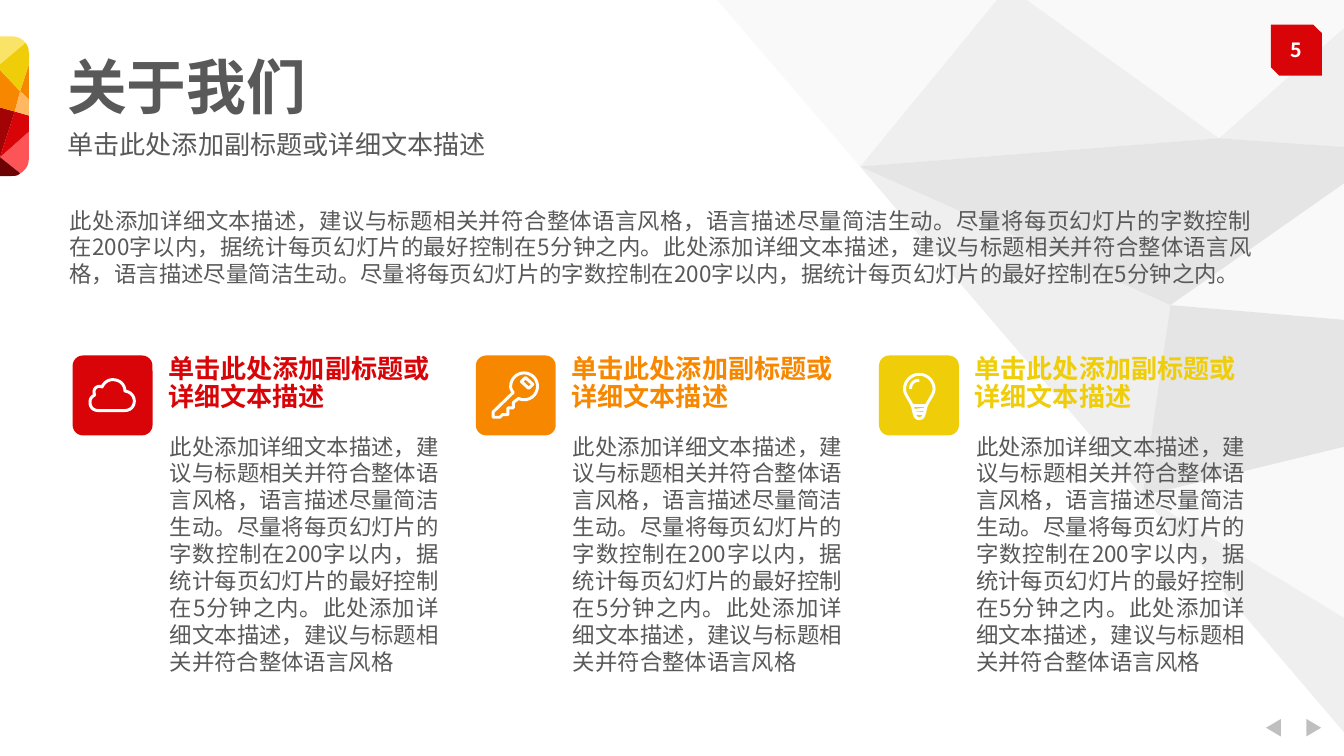
"""Build the "about us" slide on a grid of tenth-inch columns and rows."""
import pptx
import pptx.dml.color
import pptx.enum.shapes
import pptx.enum.text
import pptx.oxml.ns
import pptx.util
from lxml import etree

RGB = pptx.dml.color.RGBColor
SHAPE = pptx.enum.shapes.MSO_SHAPE
ALIGN = pptx.enum.text.PP_ALIGN
qn = pptx.oxml.ns.qn

RED, ORANGE, YELLOW = RGB(0xD8, 0x04, 0x07), RGB(0xF8, 0x87, 0x00), RGB(0xEF, 0xCD, 0x09)
PINK, DARK_RED, MAROON = RGB(0xFC, 0x54, 0x57), RGB(0xA2, 0x03, 0x05), RGB(0x6C, 0x02, 0x04)
CREAM, PEACH = RGB(0xF9, 0xE4, 0x68), RGB(0xFF, 0xB7, 0x62)
PALE, LIGHT, SILVER = RGB(0xF2, 0xF2, 0xF2), RGB(0xD9, 0xD9, 0xD9), RGB(0xBF, 0xBF, 0xBF)
WHITE, INK = RGB(0xFF, 0xFF, 0xFF), RGB(0x59, 0x59, 0x59)

FONT = "Noto Sans CJK SC"
COLUMNS, ROWS = 100, 56.25
COLUMN_STEP = 30
TITLE = {"size": pptx.util.Pt(32), "bold": True}
SUBTITLE = {"size": pptx.util.Pt(14), "bold": False}
HEADING = {"size": pptx.util.Pt(14), "bold": True}
BODY = {"size": pptx.util.Pt(12), "bold": False}
NUMBER = {"size": pptx.util.Pt(10.5), "bold": True}

PROMPT = "单击此处添加副标题或详细文本描述"
ADVICE = "此处添加详细文本描述，建议与标题相关并符合整体语言风格"
SENTENCES = (ADVICE + "，语言描述尽量简洁生动。尽量将每页幻灯片的字数控制在200字以内，"
             "据统计每页幻灯片的最好控制在5分钟之内。")

MESH_POINTS = {
    "A": (52.5, -1), "B": (75, -1), "C": (103.5, -1), "D": (90.7, 10.3),
    "E": (64, 12.4), "F": (103.5, 11.2), "G": (87.1, 22.7), "H": (103.5, 24.1),
    "I": (103.5, 32.4), "J": (85, 36.9), "K": (103.5, 48.1), "L": (103.5, 58.6),
}
MESH_FACETS = [("BDC", PALE), ("DCF", LIGHT), ("BDE", LIGHT), ("EDFG", SILVER), ("EGJ", LIGHT),
               ("GFH", PALE), ("GHIJ", SILVER), ("JIK", PALE), ("JKL", LIGHT), ("BEA", PALE)]

TAB_FACETS = [
    ([(2.15, 9.8), (0, 11.7), (1.5, 12.9), (1.9, 12.7, 2.15, 12.3, 2.15, 11.8)], PINK),
    ([(1.1, 8.3), (0, 8), (0, 11.7)], DARK_RED),
    ([(1.1, 8.3), (0, 11.7), (2.15, 9.8), (2.15, 8.6)], RED),
    ([(1.5, 12.9), (0, 11.7), (0, 13.1), (0.8, 13.1), (1.1, 13.1, 1.3, 13.1, 1.5, 12.9)], MAROON),
    ([(0, 4.8), (1.9, 3.2), (1.7, 2.9, 1.3, 2.7, 0.8, 2.7), (0, 2.7)], CREAM),
    ([(2.15, 4.8), (1.5, 6.8), (2.15, 7.4)], ORANGE),
    ([(1.1, 8.3), (1.5, 6.8), (0, 5.2), (0, 8)], ORANGE),
    ([(0, 5.2), (1.5, 6.8), (2.15, 4.8), (2.15, 4), (2.15, 3.7, 2.1, 3.4, 1.9, 3.2), (0, 4.8)],
     YELLOW),
    ([(2.15, 7.4), (1.5, 6.8), (1.1, 8.3), (2.15, 8.6)], PEACH),
]

CLOUD = [([(1.9, 4.1), (1.55, 4.1, 1.3, 3.85, 1.3, 3.5), (1.3, 3.2, 1.45, 3.05, 1.65, 2.95),
           (1.5, 2.6, 1.7, 2.3, 2, 2.3), (2.1, 2.3, 2.15, 2.32, 2.2, 2.35),
           (2.35, 2, 2.65, 1.8, 3, 1.8), (3.5, 1.8, 3.9, 2.15, 3.9, 2.65),
           (4.3, 2.7, 4.6, 3, 4.6, 3.4), (4.6, 3.8, 4.3, 4.1, 3.9, 4.1)], True)]
KEY = [([(2.8, 2.75), (1.3, 4.2), (1.3, 4.6), (1.8, 4.6), (2, 4.4), (2.4, 4.4), (2.4, 3.9),
         (2.8, 3.9), (2.8, 3.5), (3.2, 3.2), (3.35, 3.27, 3.45, 3.3, 3.6, 3.3),
         (4.15, 3.3, 4.6, 2.85, 4.6, 2.3), (4.6, 1.75, 4.15, 1.3, 3.6, 1.3),
         (3.05, 1.3, 2.6, 1.75, 2.6, 2.3), (2.6, 2.5, 2.7, 2.65, 2.8, 2.75)], True),
       ([(3.7, 1.65), (4.25, 2.15), (3.95, 2.45), (3.4, 1.95)], True)]
BULB = [([(3, 1.4), (3.6, 1.4, 4.1, 1.9, 4.1, 2.5), (4.1, 2.9, 3.7, 3.3, 3.5, 3.8),
          (3.35, 4.4, 3.35, 4.7, 3, 4.7), (2.65, 4.7, 2.65, 4.4, 2.5, 3.8),
          (2.3, 3.3, 1.9, 2.9, 1.9, 2.5), (1.9, 1.9, 2.4, 1.4, 3, 1.4)], True),
        ([(2.35, 2.5), (2.35, 2.1, 2.6, 1.85, 3, 1.85)], False),
        ([(2.5, 3.7), (3.5, 3.7)], False),
        ([(2.6, 4.1), (3.4, 4)], False),
        ([(2.7, 4.35), (3.3, 4.35)], False)]
FEATURES = [(RED, CLOUD), (ORANGE, KEY), (YELLOW, BULB)]


def grid(value):
    """Turn columns or rows into a length."""
    return pptx.util.Inches(value / 10)


def flatten(contour, steps=8):
    """Turn points and cubic curves into plain points."""
    points = []
    for item in contour:
        if len(item) == 2:
            points.append(item)
            continue
        knots = [points[-1], item[:2], item[2:4], item[4:]]
        for step in range(1, steps + 1):
            t = step / steps
            weights = ((1 - t) ** 3, 3 * t * (1 - t) ** 2, 3 * t * t * (1 - t), t ** 3)
            points.append(tuple(sum(w * k[axis] for w, k in zip(weights, knots)) for axis in (0, 1)))
    return points


def paint(shape, color):
    """Give a shape a plain fill without line or shadow."""
    shape.shadow.inherit = False
    shape.fill.solid()
    shape.fill.fore_color.rgb = color
    shape.line.fill.background()


def add_outline(page, contours, left=0, top=0):
    """Add a freeform from (contour, closed) pairs."""
    builder = None
    for contour, closed in contours:
        points = [(grid(left + x), grid(top + y)) for x, y in flatten(contour)]
        if builder is None:
            builder = page.shapes.build_freeform(*points[0])
        else:
            builder.move_to(*points[0])
        builder.add_line_segments(points[1:], close=closed)
    return builder.convert_to_shape()


def add_facet(page, contour, color, opacity=100):
    """Add one filled facet."""
    facet = add_outline(page, [(contour, True)])
    paint(facet, color)
    if opacity < 100:
        tint = facet.fill._xPr.find(".//" + qn("a:srgbClr"))
        etree.SubElement(tint, qn("a:alpha"), val=str(opacity * 1000))


def add_preset(page, kind, left, top, width, height, color):
    """Add a filled preset shape."""
    shape = page.shapes.add_shape(kind, *map(grid, (left, top, width, height)))
    paint(shape, color)
    return shape


def add_text(page, text, area, values, color=INK, align=ALIGN.LEFT, inset=True, wrap=True):
    """Add a text box with one paragraph."""
    frame = page.shapes.add_textbox(*map(grid, area)).text_frame
    frame.word_wrap = wrap
    para = frame.paragraphs[0]
    para.alignment = align
    if not inset:
        para.line_spacing = 0.9
        for side in ("left", "top", "right", "bottom"):
            setattr(frame, "margin_" + side, 0)
    span = para.add_run()
    span.text = text
    for name, value in {"name": FONT, **values}.items():
        setattr(span.font, name, value)
    span.font.color.rgb = color
    etree.SubElement(span.font._element, qn("a:ea"), typeface=FONT)


def add_feature(page, left, color, icon):
    """Add one column with icon tile, heading and description."""
    tile = add_preset(page, SHAPE.ROUNDED_RECTANGLE, left, 26.45, 5.95, 5.95, color)
    tile.adjustments[0] = 0.13
    drawing = add_outline(page, icon, left, 26.45)
    drawing.shadow.inherit = False
    drawing.fill.background()
    drawing.line.color.rgb = WHITE
    drawing.line.width = pptx.util.Pt(1.6)
    add_text(page, PROMPT, (left + 7.1, 26.5, 20.2, 6.7), HEADING, color, inset=False)
    add_text(page, SENTENCES + ADVICE, (left + 6.25, 31.7, 22, 23.2), BODY, align=ALIGN.JUSTIFY)


def main():
    """Build and save the slide."""
    deck = pptx.Presentation()
    deck.slide_width, deck.slide_height = grid(COLUMNS), grid(ROWS)
    page = deck.slides.add_slide(deck.slide_layouts[6])
    for corners, color in MESH_FACETS:
        add_facet(page, [MESH_POINTS[corner] for corner in corners], color, opacity=40)
    for left, turn in ((94.1, 270), (97.1, 90)):
        add_preset(page, SHAPE.ISOSCELES_TRIANGLE, left, 53.6, 1.3, 1.1, SILVER).rotation = turn
    add_preset(page, SHAPE.SNIP_2_DIAG_RECTANGLE, 94.55, 1.83, 3.8, 3.8, RED)
    add_text(page, "5", (94.55, 2.3, 3.8, 2.8), NUMBER, WHITE, ALIGN.CENTER, wrap=False)
    add_text(page, "关于我们", (5, 4.3, 52.5, 4.4), TITLE, inset=False)
    add_text(page, PROMPT, (5, 9.8, 32, 1.9), SUBTITLE, inset=False)
    for contour, color in TAB_FACETS:
        add_facet(page, contour, color)
    add_text(page, SENTENCES * 2, (4.2, 14.88, 90, 7.1), BODY, align=ALIGN.JUSTIFY)
    for index, (color, icon) in enumerate(FEATURES):
        add_feature(page, 5.4 + index * COLUMN_STEP, color, icon)
    deck.save("out.pptx")


if __name__ == "__main__":
    main()
